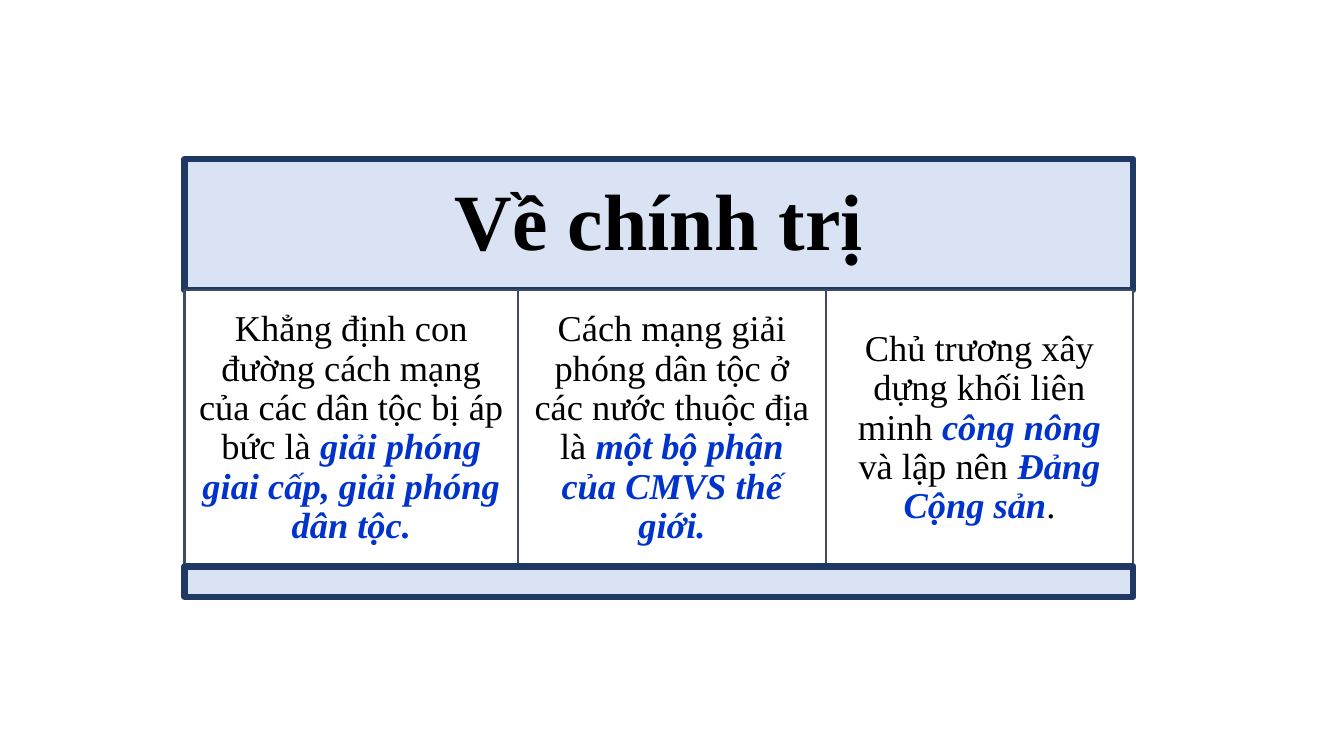
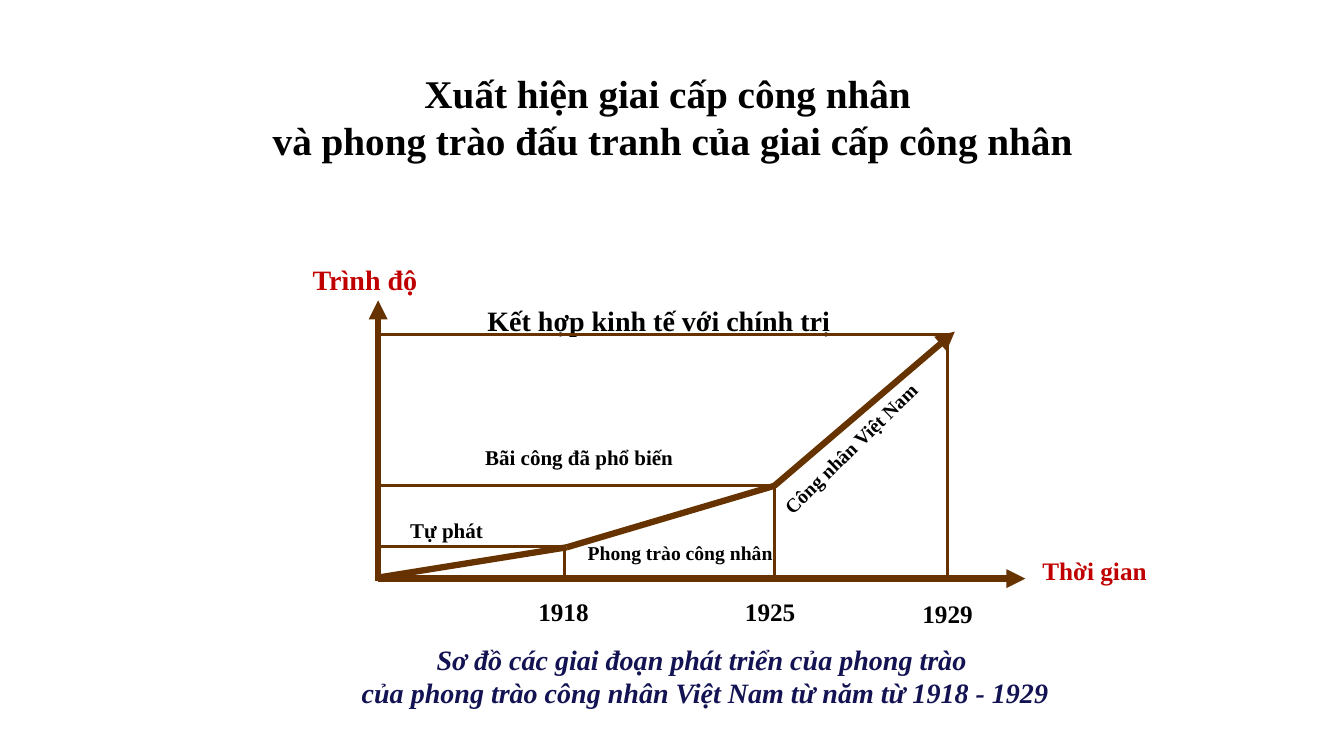
from dataclasses import dataclass

from lxml.etree import SubElement as Sub
from pptx import Presentation
from pptx.dml.color import RGBColor as Rgb
from pptx.enum.shapes import MSO_CONNECTOR as Conn, MSO_SHAPE as Shape
from pptx.enum.text import MSO_ANCHOR as Anchor, MSO_AUTO_SIZE as Fit, PP_ALIGN as Align
from pptx.oxml.ns import qn
from pptx.util import Inches, Pt


@dataclass(frozen=True)
class Theme:
    face: str = "Times New Roman"
    black: str = "000000"
    blue: str = "0033CC"
    red: str = "C00000"
    navy: str = "131354"
    brown: str = "663300"
    white: str = "FFFFFF"
    band: str = "DAE3F3"
    edge: str = "203864"
    rim: str = "3E4C60"
    banner: float = 57
    head: float = 28
    body: float = 26
    large: float = 20
    mid: float = 18
    small: float = 15
    tiny: float = 14
    thick: float = 4.5
    thin: float = 2.25
    hair: float = 1.5


@dataclass(frozen=True)
class Font:
    size: float
    color: str = Theme.black
    bold: bool = True
    slant: bool = False


class Deck:
    def __init__(self, theme):
        self.theme = theme
        self.prs = Presentation()
        self.prs.slide_width = Inches(13.33)
        self.prs.slide_height = Inches(7.5)
        self.slide = None

    def page(self):
        self.slide = self.prs.slides.add_slide(self.prs.slide_layouts[5])

    def text(self, shape, lines, align=Align.CENTER, anchor=Anchor.TOP,
             pad=None, gap=1.0, wrap=True):
        """Fill a shape with lines, each a list of (text, Font) runs."""
        frame = shape.text_frame
        frame.auto_size = Fit.NONE
        frame.word_wrap = wrap
        frame.vertical_anchor = anchor
        if pad is not None:
            frame.margin_left = frame.margin_right = Inches(pad)
            frame.margin_top = frame.margin_bottom = Inches(pad)
        for n, line in enumerate(lines):
            para = frame.add_paragraph() if n else frame.paragraphs[0]
            para.alignment = align
            para.line_spacing = gap
            for words, font in line:
                run = para.add_run()
                run.text = words
                run.font.name = self.theme.face
                run.font.size = Pt(font.size)
                run.font.bold = font.bold
                run.font.italic = font.slant
                run.font.color.rgb = Rgb.from_string(font.color)

    def paint(self, shape, fill, line, width):
        shape.fill.solid()
        shape.fill.fore_color.rgb = Rgb.from_string(fill)
        shape.line.color.rgb = Rgb.from_string(line)
        shape.line.width = Pt(width)

    def title(self, box, lines, **style):
        shape = self.slide.shapes.title
        shape.left, shape.top, shape.width, shape.height = map(Inches, box)
        self.text(shape, lines, **style)
        return shape

    def rect(self, box, fill, line, width):
        shape = self.slide.shapes.add_shape(Shape.RECTANGLE, *map(Inches, box))
        shape.shadow.inherit = False
        self.paint(shape, fill, line, width)
        return shape

    def label(self, box, lines, turn=0, **style):
        shape = self.slide.shapes.add_textbox(*map(Inches, box))
        shape.rotation = turn
        self.text(shape, lines, **style)

    def line(self, start, end, width, arrow=False):
        link = self.slide.shapes.add_connector(
            Conn.STRAIGHT, *map(Inches, (*start, *end)))
        link.line.color.rgb = Rgb.from_string(self.theme.brown)
        link.line.width = Pt(width)
        props = link._element.spPr
        if arrow:
            Sub(props.find(qn("a:ln")), qn("a:tailEnd"), type="triangle")
        Sub(props, qn("a:effectLst"))


def politics(deck):
    t = deck.theme
    plain = Font(t.body, bold=False)
    key = Font(t.body, t.blue, slant=True)
    left, top, wide, high, base = 1.83, 1.58, 9.41, 1.3, 5.62
    deck.page()
    head = deck.title((left, top, wide, high), [[("Về chính trị", Font(t.banner))]],
                      anchor=Anchor.MIDDLE, pad=0.24, gap=0.9)
    deck.paint(head, t.band, t.edge, t.thick)
    panels = [
        (3.31, [("Khẳng định con đường cách mạng của các dân tộc bị áp bức là ", plain),
                ("giải phóng giai cấp, giải phóng dân tộc.", key)]),
        (3.05, [("Cách mạng giải phóng dân tộc ở các nước thuộc địa là ", plain),
                ("một bộ phận của CMVS thế giới.", key)]),
        (3.05, [("Chủ trương xây dựng khối liên minh ", plain), ("công nông ", key),
                ("và lập nên ", plain), ("Đảng Cộng sản", key), (".", plain)]),
    ]
    x, y = left, top + high
    for width, runs in panels:
        panel = deck.rect((x, y, width, base - y), t.white, t.rim, t.hair)
        deck.text(panel, [runs], anchor=Anchor.MIDDLE, pad=0.11, gap=0.9)
        x += width
    deck.rect((left, base, wide, 0.3), t.band, t.edge, t.thick)


def workers(deck):
    t = deck.theme
    deck.page()
    head = Font(t.head)
    deck.title((1.58, 0.64, 10.18, 1.04), [
        [("Xuất hiện giai cấp công nhân ", head)],
        [("và phong trào đấu tranh của giai cấp công nhân", head)]])

    deck.label((4.18, 2.96, 4.71, 0.44),
               [[("Kết hợp kinh tế với chính trị", Font(t.large))]])
    zero, floor = 3.75, 5.74
    stages = [(5.6, 5.42), (7.68, 4.82), (9.4, 3.32)]
    for x, y in stages:
        deck.line((zero, y), (x, y), t.thin)
        deck.line((x, y), (x, floor), t.thin)
    deck.line((zero, 5.76), (zero, 2.98), t.thick, arrow=True)
    deck.line((zero, floor), (10.17, floor), t.thick, arrow=True)
    curve = [(zero, 5.73), (5.62, 5.43), (7.68, 4.82), (9.47, 3.29)]
    for start, end in zip(curve, curve[1:]):
        deck.line(start, end, t.thick, arrow=end == curve[-1])

    deck.label((2.82, 2.56, 1.6, 0.44), [[("Trình độ", Font(t.large, t.red))]])
    deck.label((10.24, 5.46, 1.25, 0.4), [[("Thời gian", Font(t.mid, t.red))]],
               align=Align.LEFT, wrap=False)
    deck.label((3.93, 4.36, 3.63, 0.35), [[("Bãi công đã phổ biến", Font(t.small))]])
    deck.label((3.97, 5.08, 1.38, 0.35), [[("Tự phát", Font(t.small))]],
               align=Align.LEFT)
    deck.label((7.36, 4.02, 2.68, 0.34), [[("Công nhân Việt Nam", Font(t.tiny))]],
               turn=315.7, align=Align.LEFT)
    deck.label((5.73, 5.32, 2.1, 0.34), [[("Phong trào công nhân", Font(t.tiny))]],
               align=Align.LEFT)
    for x, y, year in [(5.24, 5.87, "1918"), (7.29, 5.87, "1925"), (9.05, 5.89, "1929")]:
        deck.label((x, y, 0.71, 0.4), [[(year, Font(t.mid))]],
                   align=Align.LEFT, wrap=False)
    note = Font(t.large, t.navy, slant=True)
    deck.label((2.28, 6.52, 9.43, 0.37), [
        [("Sơ đồ các giai đoạn phát triển của phong trào ", note)],
        [("của phong trào công nhân Việt Nam từ năm từ 1918 - 1929", note)]],
        anchor=Anchor.MIDDLE)


def main():
    deck = Deck(Theme())
    politics(deck)
    workers(deck)
    deck.prs.save("out.pptx")


if __name__ == "__main__":
    main()
